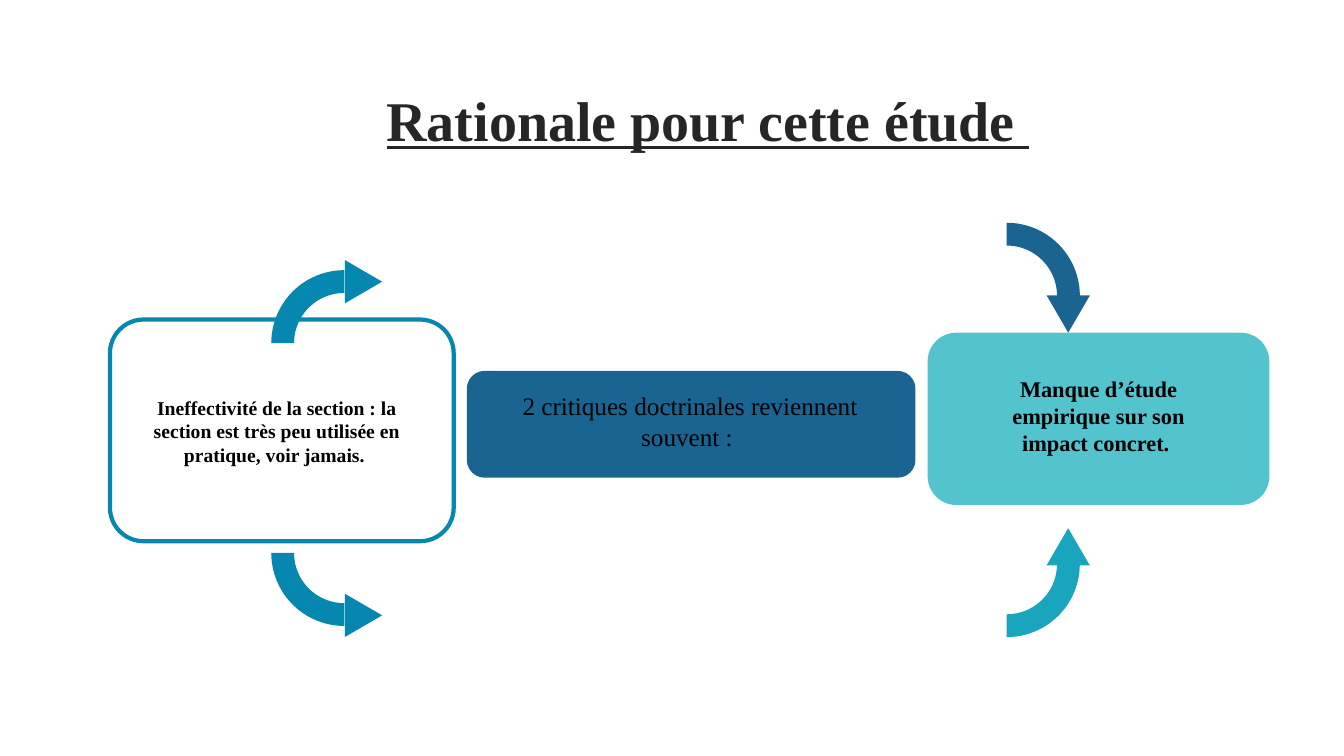
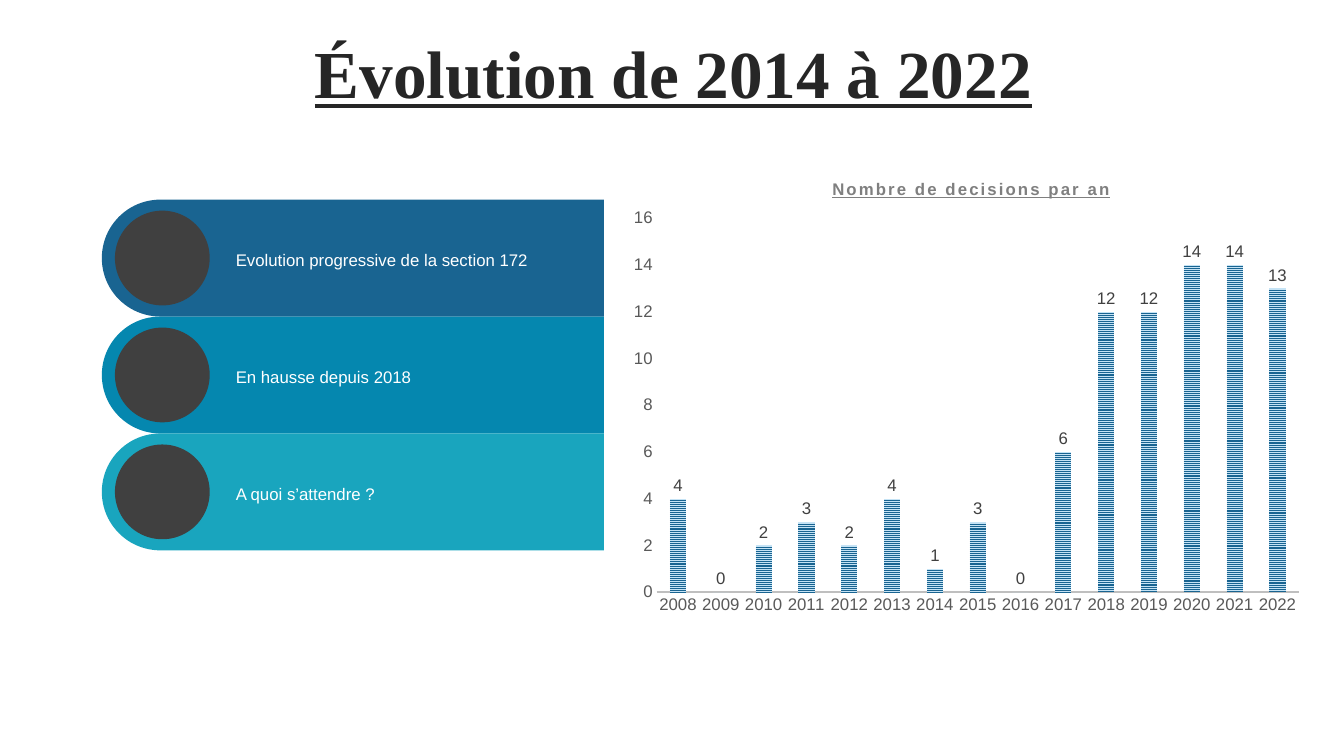
from dataclasses import dataclass
from typing import Any, NamedTuple, Optional

import pptx
import pptx.chart.data
import pptx.dml.color
import pptx.enum.chart
import pptx.enum.dml
import pptx.enum.shapes
import pptx.enum.text
import pptx.util
from lxml import etree

Inches = pptx.util.Inches
Pt = pptx.util.Pt
Shape = pptx.enum.shapes.MSO_SHAPE
Align = pptx.enum.text.PP_ALIGN
Anchor = pptx.enum.text.MSO_ANCHOR


# Shared look
@dataclass(frozen=True)
class Theme:
    serif: str = "Times New Roman"
    sans: str = "Arial"
    ink: str = "262626"
    black: str = "000000"
    white: str = "FFFFFF"
    navy: str = "196491"
    blue: str = "0587AF"
    teal: str = "19A5BE"
    aqua: str = "53C3CD"
    pale: str = "C5E3F5"
    dark: str = "404040"
    grey: str = "595959"
    mist: str = "7F7F7F"
    rule: str = "BFBFBF"
    head: int = 40
    big: int = 48
    lead: int = 18
    body: int = 16
    note: int = 14
    small: int = 12


THEME = Theme()


class Box(NamedTuple):
    left: float
    top: float
    width: float
    height: float

    def emu(self) -> list[int]:
        return [Inches(side) for side in self]


class Card(NamedTuple):
    box: Box
    fill: Optional[str]
    edge: Optional[str]
    curve: float


class Note(NamedTuple):
    box: Box
    text: str
    size: int
    bold: bool
    inset: float


class Arrow(NamedTuple):
    arc: Box
    turn: int
    tip: Box
    aim: int
    fill: str


class Band(NamedTuple):
    text: str
    fill: str


# Slide 1: boxes, their text, and curved arrows
CARDS = [
    Card(Box(1.09, 3.17, 3.41, 2.2), None, THEME.blue, 0.152),
    Card(Box(9.2, 3.3, 3.39, 1.71), THEME.aqua, None, 0.167),
    Card(Box(4.63, 3.68, 4.45, 1.06), THEME.navy, None, 0.167),
]
NOTES = [
    Note(Box(0.69, 3.87, 3.61, 0.81),
         "Ineffectivité de la section : la section est très peu utilisée "
         "en pratique, voir jamais. ", THEME.note, True, 0.6),
    Note(Box(9.13, 3.67, 3.03, 0.91),
         "Manque d’étude empirique sur son impact concret. ",
         THEME.body, True, 0.6),
    Note(Box(4.71, 3.82, 4.27, 0.71),
         "2 critiques doctrinales reviennent souvent : ",
         THEME.lead, False, 0.1),
]
ARC, TIP_W, TIP_H = 1.45, 0.43, 0.37
ARROWS = [
    Arrow(Box(2.69, 2.68, ARC, ARC), 0,
          Box(3.39, 2.61, TIP_W, TIP_H), 90, THEME.blue),
    Arrow(Box(2.69, 4.76, ARC, ARC), 270,
          Box(3.39, 5.92, TIP_W, TIP_H), 90, THEME.blue),
    Arrow(Box(9.26, 4.87, ARC, ARC), 180,
          Box(10.38, 5.24, TIP_W, TIP_H), 0, THEME.teal),
    Arrow(Box(9.26, 2.21, ARC, ARC), 90,
          Box(10.38, 2.93, TIP_W, TIP_H), 180, THEME.navy),
]

# Slide 2: bands and yearly counts
BANDS = [
    Band("Evolution progressive de la section 172", THEME.navy),
    Band("En hausse depuis 2018", THEME.blue),
    Band("A quoi s’attendre ?", THEME.teal),
]
BAND_TOP, BAND_H, BAND_W, BAND_MID = 1.98, 1.16, 4.98, 3.5
DISC = 0.94
YEARS = [str(year) for year in range(2008, 2023)]
COUNTS = [4, 0, 2, 3, 2, 4, 1, 3, 0, 6, 12, 12, 14, 14, 13]


# Helpers
def tint(code: str) -> pptx.dml.color.RGBColor:
    return pptx.dml.color.RGBColor.from_string(code)


def apply(item: Any, **values: Any) -> None:
    for key, value in values.items():
        setattr(item, key, value)


def style(font: Any, face: str, size: int, hue: str, **more: Any) -> None:
    apply(font, name=face, size=Pt(size), **more)
    font.color.rgb = tint(hue)


def add_title(deck: Any, text: str, box: Box, size: int) -> Any:
    """Add a title-only slide and return it."""
    slide = deck.slides.add_slide(deck.slide_layouts[5])
    title = slide.shapes.title
    apply(title, **dict(zip(box._fields, box.emu())))
    frame = title.text_frame
    apply(frame, text=text, word_wrap=True, vertical_anchor=Anchor.MIDDLE,
          auto_size=pptx.enum.text.MSO_AUTO_SIZE.NONE)
    line = frame.paragraphs[0]
    apply(line, alignment=Align.CENTER, line_spacing=0.9, space_before=Pt(0))
    style(line.runs[0].font, THEME.serif, size, THEME.ink,
          bold=True, underline=True)
    return slide


def add_form(slide: Any, kind: Any, box: Box, fill: Optional[str],
             curves: tuple = (), turn: float = 0) -> Any:
    form = slide.shapes.add_shape(kind, *box.emu())
    form.shadow.inherit = False
    form.rotation = turn
    form.line.fill.background()
    if fill:
        form.fill.solid()
        form.fill.fore_color.rgb = tint(fill)
    else:
        form.fill.background()
    for spot, value in enumerate(curves):
        form.adjustments[spot] = value
    return form


def add_text(slide: Any, box: Box, text: str, face: str, size: int, hue: str,
             align: Any, anchor: Any, inset: float = 0.1,
             bold: bool = False) -> None:
    frame = slide.shapes.add_textbox(*box.emu()).text_frame
    apply(frame, text=text, word_wrap=True, vertical_anchor=anchor,
          margin_left=Inches(inset))
    line = frame.paragraphs[0]
    line.alignment = align
    style(line.runs[0].font, face, size, hue, bold=bold)


def add_card(slide: Any, card: Card) -> None:
    form = add_form(slide, Shape.ROUNDED_RECTANGLE, card.box, card.fill,
                    (card.curve,))
    if card.edge:
        form.line.color.rgb = tint(card.edge)
        form.line.width = Pt(3)


def add_arrow(slide: Any, arrow: Arrow) -> None:
    add_form(slide, Shape.BLOCK_ARC, arrow.arc, arrow.fill,
             (108, 162, 0.156), arrow.turn)
    add_form(slide, Shape.ISOSCELES_TRIANGLE, arrow.tip, arrow.fill,
             turn=arrow.aim)


def add_band(slide: Any, band: Band, top: float) -> None:
    mid = top + BAND_H / 2
    bar = Box(BAND_MID - BAND_H / 2, mid - BAND_W / 2, BAND_H, BAND_W)
    add_form(slide, Shape.ROUND_2_SAME_RECTANGLE, bar, band.fill,
             (0.5, 0), 270)
    add_form(slide, Shape.OVAL, Box(1.14, mid - DISC / 2, DISC, DISC),
             THEME.dark)
    add_text(slide, Box(2.24, mid - 0.13, 3.9, 0.3), band.text, THEME.sans,
             THEME.small, THEME.white, Align.LEFT, Anchor.TOP)


def place(part: Any, **parts: Any) -> None:
    """Fix the place of a chart part, as shares of the chart."""
    for old in part.findall("{*}layout"):
        part.remove(old)
    space = etree.QName(part).namespace
    layout = etree.Element(f"{{{space}}}layout")
    manual = etree.SubElement(layout, f"{{{space}}}manualLayout")
    for key, value in parts.items():
        etree.SubElement(manual, f"{{{space}}}{key}").set("val", str(value))
    words = part.find("{*}tx")
    if words is None:
        part.insert(0, layout)
    else:
        words.addnext(layout)


def add_graph(slide: Any, box: Box) -> None:
    kinds = pptx.enum.chart
    data = pptx.chart.data.CategoryChartData(number_format="0")
    data.categories = YEARS
    data.add_series("Series 1", COUNTS)
    chart = slide.shapes.add_chart(kinds.XL_CHART_TYPE.COLUMN_CLUSTERED,
                                   *box.emu(), data).chart
    chart.has_legend = False
    style(chart.font, THEME.sans, 10, THEME.black)

    # Chart title
    title = chart.chart_title
    title.text_frame.text = "Nombre de decisions par an"
    run = title.text_frame.paragraphs[0].runs[0]
    style(run.font, THEME.sans, THEME.small, THEME.mist,
          bold=True, underline=True)
    run._r.get_or_add_rPr().set("spc", "150")
    place(title._element, xMode="edge", yMode="edge", x=0.3, y=0.04)

    # Axes
    for axis in (chart.category_axis, chart.value_axis):
        apply(axis, has_major_gridlines=False,
              major_tick_mark=kinds.XL_TICK_MARK.NONE,
              minor_tick_mark=kinds.XL_TICK_MARK.NONE)
        style(axis.tick_labels.font, THEME.sans, THEME.small, THEME.grey)
    apply(chart.value_axis, minimum_scale=0, maximum_scale=16, major_unit=2)
    chart.value_axis.format.line.fill.background()
    base = chart.category_axis.format.line
    base.color.rgb = tint(THEME.rule)
    base.width = Pt(1.5)

    # Columns and labels
    plot = chart.plots[0]
    apply(plot, gap_width=164, overlap=-22, vary_by_categories=False,
          has_data_labels=True)
    apply(plot.data_labels, show_value=True,
          position=kinds.XL_LABEL_POSITION.OUTSIDE_END)
    style(plot.data_labels.font, THEME.sans, THEME.small, THEME.dark)
    fill = plot.series[0].format.fill
    fill.patterned()
    fill.pattern = pptx.enum.dml.MSO_PATTERN.NARROW_HORIZONTAL
    fill.fore_color.rgb = tint(THEME.navy)
    fill.back_color.rgb = tint(THEME.pale)
    place(chart._chartSpace.chart.plotArea, layoutTarget="inner",
          xMode="edge", yMode="edge", x=0.05, y=0.13, w=0.93, h=0.8)


# Slides
def main() -> None:
    deck = pptx.Presentation()
    apply(deck, slide_width=Inches(13.33), slide_height=Inches(7.5))

    slide = add_title(deck, "Rationale pour cette étude ",
                      Box(0.69, 0.83, 12.66, 0.79), THEME.head)
    for card in CARDS:
        add_card(slide, card)
    for note in NOTES:
        add_text(slide, note.box, note.text, THEME.serif, note.size,
                 THEME.black, Align.CENTER, Anchor.MIDDLE, note.inset,
                 note.bold)
    for arrow in ARROWS:
        add_arrow(slide, arrow)

    slide = add_title(deck, "Évolution de 2014 à 2022",
                      Box(0.35, 0.37, 12.66, 0.79), THEME.big)
    for row, band in enumerate(BANDS):
        add_band(slide, band, BAND_TOP + row * BAND_H)
    add_graph(slide, Box(6.17, 1.56, 6.85, 4.64))

    deck.save("out.pptx")


if __name__ == "__main__":
    main()
